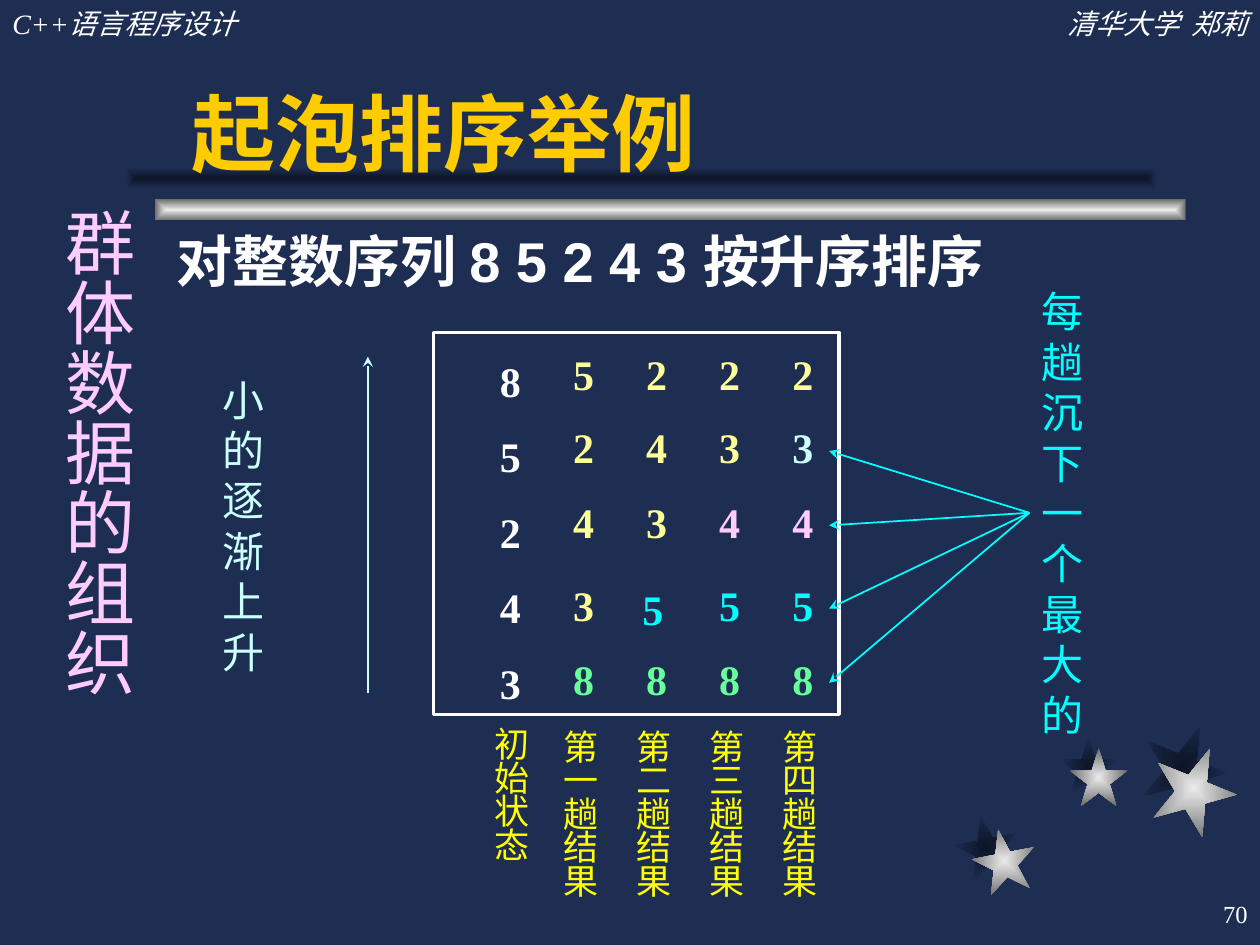
from pptx import Presentation
from pptx.dml.color import RGBColor
from pptx.enum.shapes import MSO_CONNECTOR, MSO_SHAPE
from pptx.enum.text import MSO_ANCHOR, MSO_AUTO_SIZE, PP_ALIGN
from pptx.oxml import parse_xml
from pptx.oxml.ns import nsdecls, qn
from pptx.util import Inches, Pt
from lxml.etree import SubElement

NAVY = RGBColor(0x1E, 0x2E, 0x53)
DARK_NAVY = RGBColor(0x0D, 0x15, 0x26)
SILVER = RGBColor(0xEA, 0xEA, 0xEA)
GRAY = RGBColor(0x6B, 0x6B, 0x6B)
WHITE = RGBColor(0xFF, 0xFF, 0xFF)
GOLD = RGBColor(0xFF, 0xCC, 0x00)
YELLOW = RGBColor(0xFF, 0xFF, 0x00)
PALE_YELLOW = RGBColor(0xFF, 0xFF, 0x99)
PALE_CYAN = RGBColor(0xCC, 0xFF, 0xFF)
CYAN = RGBColor(0x00, 0xFF, 0xFF)
PINK = RGBColor(0xFF, 0xCC, 0xFF)
GREEN = RGBColor(0x66, 0xFF, 0x99)

SERIF = "Times New Roman"
HAN = "Noto Sans CJK SC"
NUMBERS = [8, 5, 2, 4, 3]
SETTLED_COLORS = [PALE_YELLOW, PALE_CYAN, PINK, CYAN, GREEN]
ROW_TOPS = [2.72, 3.3, 3.89, 4.55, 5.14]
COLUMN_LEFT, COLUMN_STEP = 4.45, 0.58
NUDGES = {(1, 3): (-0.03, 0.03)}


def add_run(paragraph, text, size, color, font=SERIF, bold=False, italic=False):
    run = paragraph.add_run()
    run.text = text
    run.font.size = Pt(size)
    run.font.name = font
    run.font.bold = bold
    run.font.italic = italic
    run.font.color.rgb = color
    SubElement(run.font._element, qn("a:ea")).set("typeface", HAN)


def add_text(slide, box, lines, size, color, wrap=True, align=PP_ALIGN.LEFT,
             before=0, spacing=1.0, **style):
    shape = slide.shapes.add_textbox(*map(Inches, box))
    frame = shape.text_frame
    frame.word_wrap = wrap
    frame.auto_size = MSO_AUTO_SIZE.SHAPE_TO_FIT_TEXT
    for index, line in enumerate(lines):
        paragraph = frame.add_paragraph() if index else frame.paragraphs[0]
        paragraph.alignment = align
        paragraph.space_before = Pt(before)
        paragraph.line_spacing = spacing
        add_run(paragraph, line, size, color, **style)
    return shape


def add_gradient_shape(shapes, kind, box, inner, outer, rotation=0):
    shape = shapes.add_shape(kind, *map(Inches, box))
    shape.rotation = rotation
    shape.shadow.inherit = False
    shape.line.fill.background()
    shape.fill.gradient()
    for stop, color, position in zip(shape.fill.gradient_stops, (inner, outer), (0, 1)):
        stop.color.rgb = color
        stop.position = position
    gradient = shape._element.spPr.find(qn("a:gradFill"))
    gradient.replace(gradient.find(qn("a:lin")), parse_xml(
        f'<a:path {nsdecls("a")} path="rect">'
        '<a:fillToRect l="50000" t="50000" r="50000" b="50000"/></a:path>'))


def add_arrow(slide, start, end, color, head_end):
    line = slide.shapes.add_connector(
        MSO_CONNECTOR.STRAIGHT, *map(Inches, (*start, *end)))
    line.line.color.rgb = color
    line.line.width = Pt(1)
    SubElement(line.line._get_or_add_ln(), qn(f"a:{head_end}")).set("type", "stealth")
    SubElement(line._element.spPr, qn("a:effectLst"))
    return line


def add_stars(slide):
    group = slide.shapes.add_group_shape()
    shadows = [(7.58, 6.47, 0.5, 349), (8.41, 5.85, 0.46, 0), (9.06, 5.75, 0.67, 22)]
    stars = [(7.72, 6.58, 0.5, 349), (8.49, 5.94, 0.46, 0), (9.14, 5.92, 0.67, 22)]
    for places, inner, outer in ((shadows, DARK_NAVY, NAVY), (stars, SILVER, GRAY)):
        for left, top, size, rotation in places:
            add_gradient_shape(group.shapes, MSO_SHAPE.STAR_5_POINT,
                               (left, top, size, size), inner, outer, rotation)


def add_title_bars(slide, left, top, width, height):
    group = slide.shapes.add_group_shape()
    add_gradient_shape(group.shapes, MSO_SHAPE.RECTANGLE,
                       (left + 0.23, top + 0.25, width, height), SILVER, GRAY)
    add_gradient_shape(group.shapes, MSO_SHAPE.RECTANGLE,
                       (left, top, width, height), DARK_NAVY, NAVY)


def add_header(slide):
    add_text(slide, (0, 0, 3.08, 0.37), ["C++语言程序设计"], 16, WHITE,
             before=10, italic=True)
    add_text(slide, (6.92, 0, 3.08, 0.37), ["清华大学  郑莉"], 16, WHITE,
             before=10, align=PP_ALIGN.RIGHT, italic=True)


def add_title(slide, box):
    title = slide.shapes.title
    title.left, title.top, title.width, title.height = map(Inches, box)
    frame = title.text_frame
    frame.vertical_anchor = MSO_ANCHOR.BOTTOM
    frame.auto_size = MSO_AUTO_SIZE.NONE
    frame.paragraphs[0].alignment = PP_ALIGN.LEFT
    add_run(frame.paragraphs[0], "起泡排序举例", 48, GOLD, font=HAN, bold=True)


def bubble_pass(numbers):
    result = list(numbers)
    for index in range(len(result) - 1):
        if result[index] > result[index + 1]:
            result[index], result[index + 1] = result[index + 1], result[index]
    return result


def add_sorting_grid(slide, box):
    add_text(slide, (3.87, 2.57, 0.37, 3.1), map(str, NUMBERS), 24, WHITE,
             wrap=False, spacing=1.5, bold=True)
    numbers = NUMBERS
    last = len(NUMBERS) - 1
    for column in range(last):
        numbers = bubble_pass(numbers)
        for row, number in enumerate(numbers):
            color = SETTLED_COLORS[row] if row + column >= last else PALE_YELLOW
            shift_x, shift_y = NUDGES.get((column, row), (0, 0))
            left = COLUMN_LEFT + column * COLUMN_STEP + shift_x
            add_text(slide, (left, ROW_TOPS[row] + shift_y, 0.37, 0.5),
                     [str(number)], 24, color, wrap=False, bold=True)
    frame = slide.shapes.add_shape(MSO_SHAPE.RECTANGLE, *map(Inches, box))
    frame.shadow.inherit = False
    frame.fill.background()
    frame.line.color.rgb = WHITE
    frame.line.width = Pt(2)


def add_column_labels(slide, top):
    add_text(slide, (3.83, top, 0.42, 1.17), ["初始状态"], 20, YELLOW,
             before=12.5, spacing=0.8)
    for column, ordinal in enumerate("一二三四"):
        left = COLUMN_LEFT - 0.08 + column * COLUMN_STEP
        add_text(slide, (left, top + 0.02, 0.42, 1.44), [f"第{ordinal}趟结果"],
                 20, YELLOW, before=12.5, spacing=0.8)


def add_rising_note(slide, box):
    add_text(slide, box, ["小的逐渐上升"], 24, PALE_CYAN, before=15)
    add_arrow(slide, (2.92, 5.5), (2.92, 2.83), PALE_CYAN, "tailEnd")


def add_sinking_note(slide, box):
    note = add_text(slide, box, ["每趟沉下一个最大的"], 24, CYAN, before=15)
    left, top, width, height = box
    for target in (5.42, 4.83, 4.17, 3.58):
        arrow = add_arrow(slide, (6.58, target), (left, top + height / 2), CYAN, "headEnd")
        arrow.end_connect(note, 1)


def add_chapter_name(slide, box):
    chapter = add_text(slide, box, ["群体数据的组织"], 40, PINK, before=25, font=HAN)
    frame = chapter.text_frame
    frame.margin_left = frame.margin_right = Inches(0.05)
    frame.margin_top = frame.margin_bottom = Inches(0.1)
    frame._txBody.bodyPr.set("vert", "eaVert")


def add_page_number(slide, box):
    number = add_text(slide, box, ["70"], 14, WHITE, align=PP_ALIGN.RIGHT)
    number.text_frame.auto_size = MSO_AUTO_SIZE.NONE
    number.text_frame.vertical_anchor = MSO_ANCHOR.MIDDLE


def main():
    presentation = Presentation()
    presentation.slide_width = Inches(10)
    presentation.slide_height = Inches(7.5)
    slide = presentation.slides.add_slide(presentation.slide_layouts[5])
    slide.background.fill.solid()
    slide.background.fill.fore_color.rgb = NAVY
    add_stars(slide)
    add_title_bars(slide, 1, 1.33, 8.18, 0.17)
    title = slide.shapes.title._element
    title.getparent().append(title)
    add_header(slide)
    add_title(slide, (1.42, 0.58, 7.83, 0.92))
    add_text(slide, (1.3, 1.75, 7.95, 0.75), ["对整数序列 8 5 2 4 3 按升序排序"],
             32, WHITE, before=8, font="Arial", bold=True)
    add_sorting_grid(slide, (3.44, 2.64, 3.22, 3.03))
    add_column_labels(slide, 5.75)
    add_rising_note(slide, (1.67, 2.92, 0.67, 2.5))
    add_sinking_note(slide, (8.17, 2.22, 0.58, 3.7))
    add_chapter_name(slide, (0.3, 1.55, 0.86, 4.66))
    add_page_number(slide, (7.92, 7, 2.08, 0.5))
    presentation.save("out.pptx")


if __name__ == "__main__":
    main()
